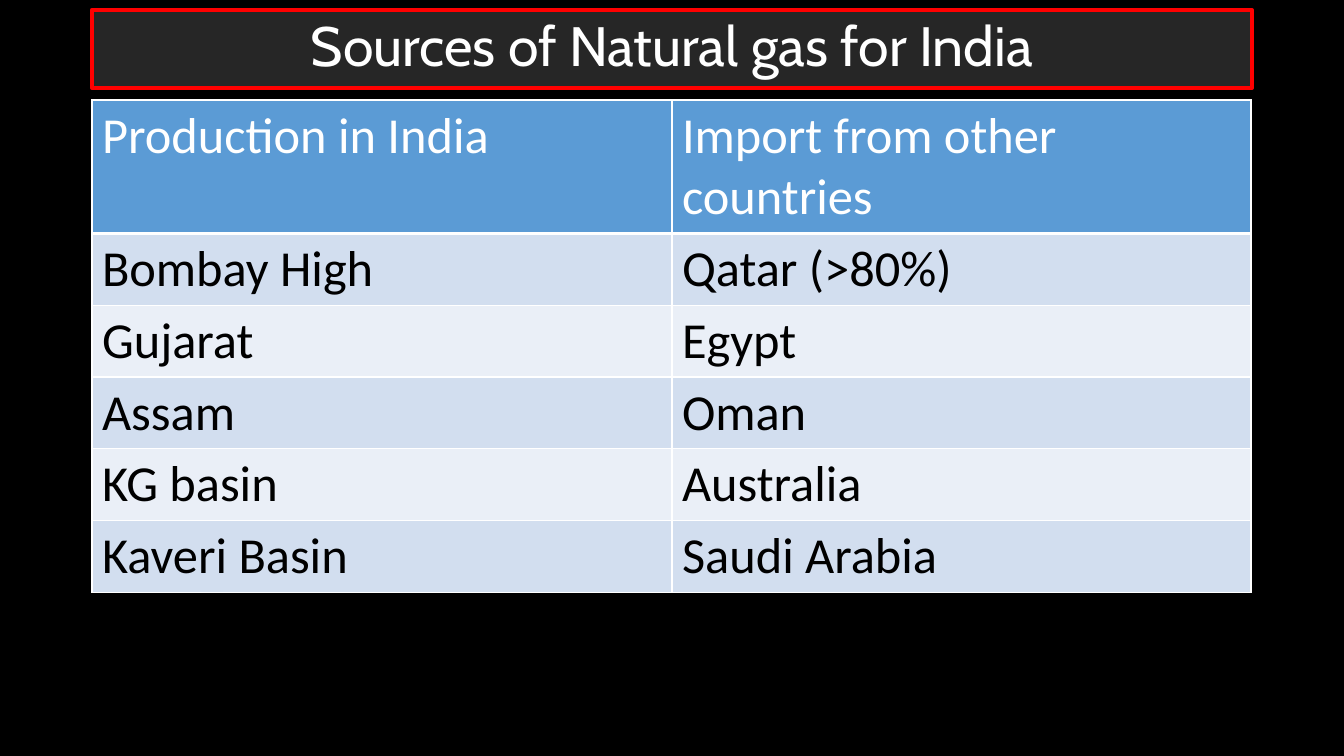
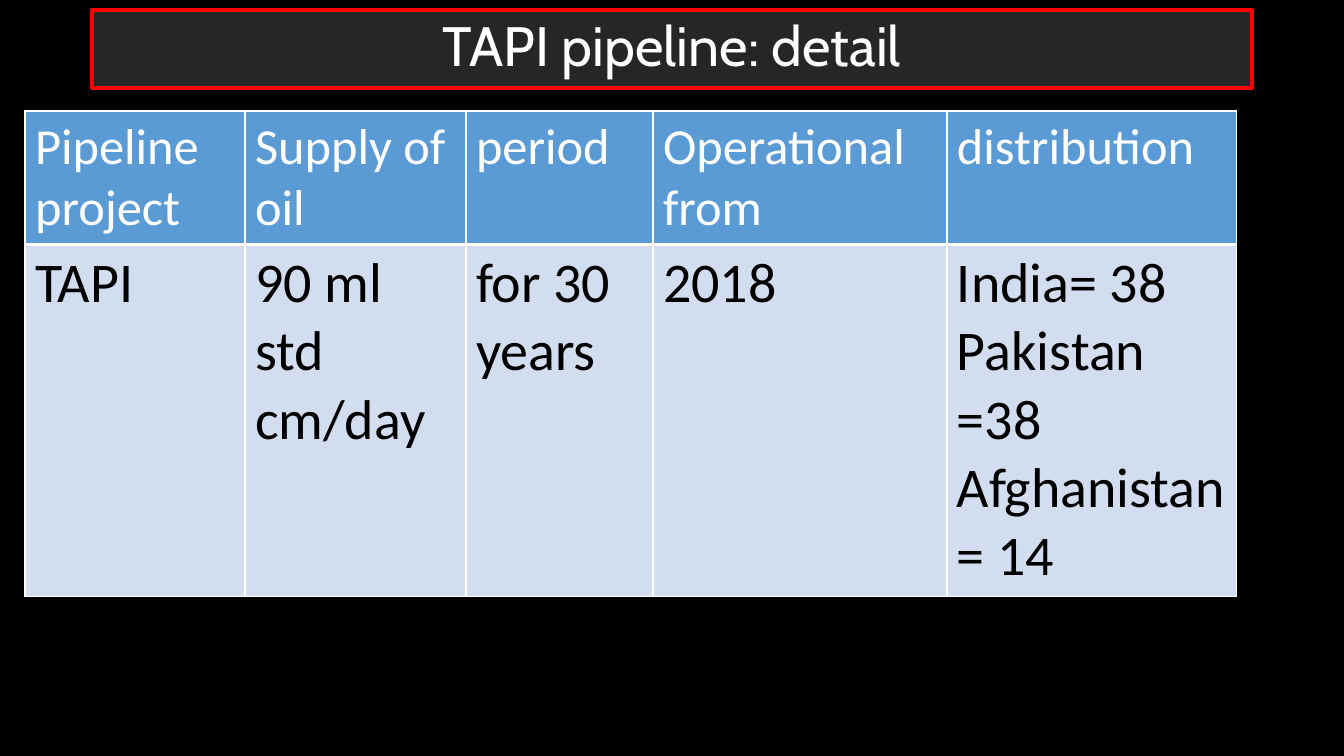
"""Build two slides of titled tables on India's natural gas."""
from lxml.etree import SubElement
from pptx import Presentation
from pptx.dml.color import RGBColor
from pptx.enum.text import MSO_ANCHOR, MSO_AUTO_SIZE, PP_ALIGN
from pptx.oxml.ns import qn
from pptx.util import Pt

PX = 12192000 / 1344
WHITE, BLACK, DARK, RED = "FFFFFF", "000000", "262626", "FF0000"
HEAD, BANDS = "5B9BD5", ("D2DEEF", "EAEFF7")

SLIDES = [
    {
        "title": "Sources of Natural gas for India",
        "at": (92, 100),
        "cols": (580, 579),
        "row": 71,
        "size": 36,
        "cells": [
            ("Production in India", "Import from other countries"),
            ("Bombay High", "Qatar (>80%)"),
            ("Gujarat", "Egypt"),
            ("Assam", "Oman"),
            ("KG basin", "Australia"),
            ("Kaveri Basin", "Saudi Arabia"),
        ],
    },
    {
        "title": "TAPI pipeline: detail",
        "at": (25, 111),
        "cols": (220, 221, 187, 294, 290),
        "row": 352,
        "size": 40,
        "cells": [
            ("Pipeline project", "Supply of oil", "period",
             "Operational from", "distribution"),
            ("TAPI", "90 ml std cm/day", "for 30 years", "2018",
             "India= 38\nPakistan =38\nAfghanistan = 14"),
        ],
    },
]
HEAD_ROW, HEAD_SIZE = 133, 36


def px(num):
    """Turn pixels into EMU."""
    return round(num * PX)


def paint(fill, color):
    """Give a fill one solid colour."""
    fill.solid()
    fill.fore_color.rgb = RGBColor.from_string(color)


def style(frame, name, size, color):
    """Format every run in a text frame."""
    for para in frame.paragraphs:
        for run in para.runs:
            font = run.font
            font.name, font.size, font.bold = name, Pt(size), False
            font.color.rgb = RGBColor.from_string(color)


def edge(cell, base):
    """Draw white borders around a cell, with its base line in points."""
    props = cell._tc.get_or_add_tcPr()
    for side, width in (("L", 1), ("R", 1), ("T", 1), ("B", base)):
        line = SubElement(props, qn(f"a:ln{side}"), w=str(Pt(width)))
        fill = SubElement(line, qn("a:solidFill"))
        SubElement(fill, qn("a:srgbClr"), val=WHITE)


def add_title(slide, text):
    """Set the title in its dark band with a red frame."""
    band = slide.shapes.title
    band.left, band.top, band.width, band.height = map(px, (92, 10, 1160, 78))
    paint(band.fill, DARK)
    paint(band.line.fill, RED)
    band.line.width = Pt(3)
    frame = band.text_frame
    frame.text = text
    frame.auto_size = MSO_AUTO_SIZE.NONE
    frame.vertical_anchor = MSO_ANCHOR.MIDDLE
    para = frame.paragraphs[0]
    para.alignment, para.line_spacing = PP_ALIGN.CENTER, 0.9
    style(frame, "Cabin", 39.6, WHITE)


def add_grid(slide, data):
    """Add the banded table."""
    cells, cols = data["cells"], data["cols"]
    rows = [HEAD_ROW] + [data["row"]] * (len(cells) - 1)
    box = map(px, (*data["at"], sum(cols), sum(rows)))
    table = slide.shapes.add_table(len(rows), len(cols), *box).table
    for col, width in zip(table.columns, cols):
        col.width = px(width)
    for r, (row, high) in enumerate(zip(table.rows, rows)):
        row.height = px(high)
        top = r == 0
        for cell, text in zip(row.cells, cells[r]):
            edge(cell, 3 if top else 1)
            paint(cell.fill, HEAD if top else BANDS[(r - 1) % 2])
            cell.text_frame.text = text
            style(cell.text_frame, "Calibri", HEAD_SIZE if top else data["size"],
                  WHITE if top else BLACK)


def main():
    """Build and save the deck."""
    deck = Presentation()
    deck.slide_width, deck.slide_height = px(1344), px(756)
    paint(deck.slide_master.background.fill, BLACK)
    for data in SLIDES:
        slide = deck.slides.add_slide(deck.slide_layouts[5])
        add_title(slide, data["title"])
        add_grid(slide, data)
    deck.save("out.pptx")


if __name__ == "__main__":
    main()
